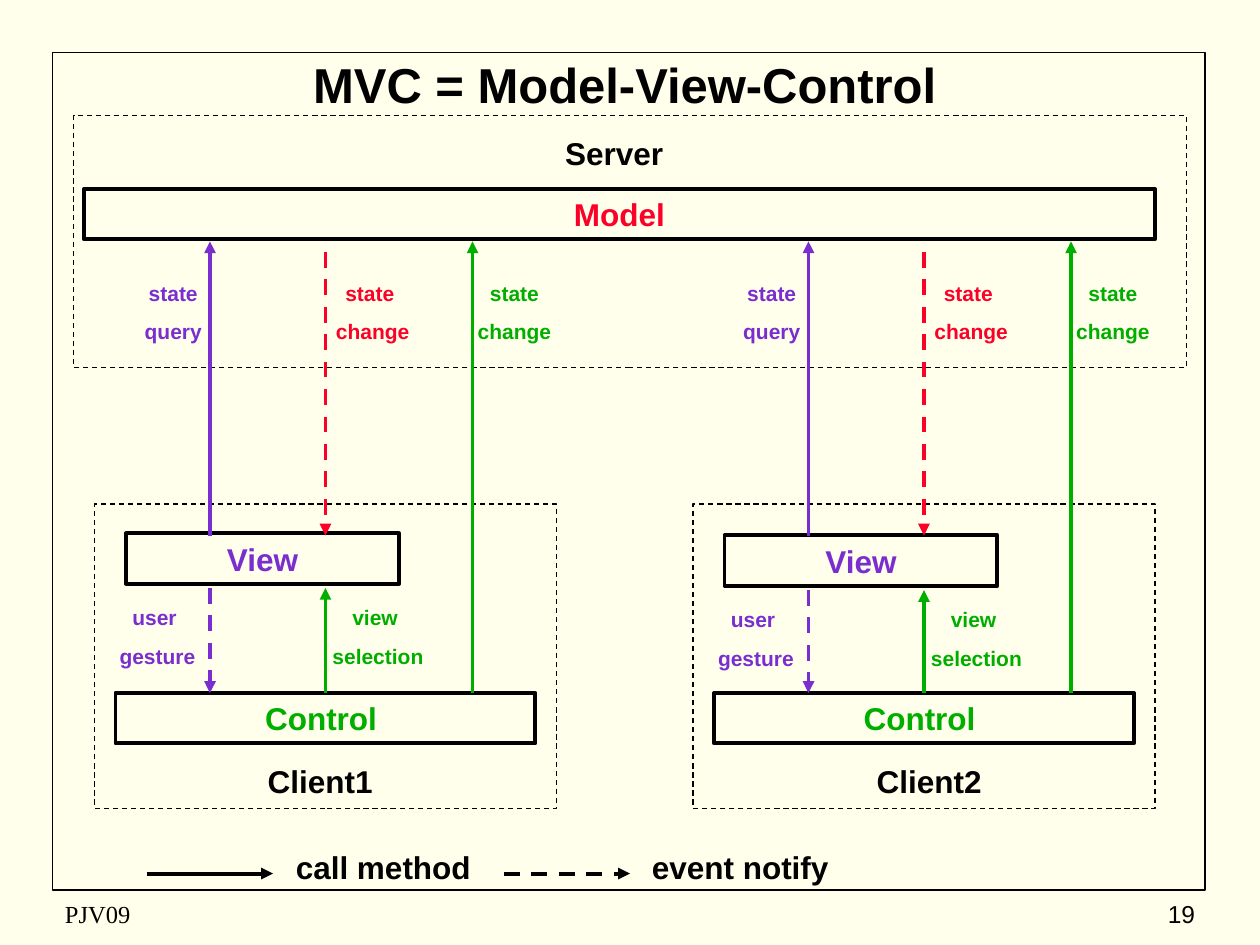
import pptx
import pptx.util
import pptx.dml.color
import pptx.enum.dml
import pptx.enum.shapes
import pptx.enum.text
import pptx.oxml.ns
from lxml import etree

RGB = pptx.dml.color.RGBColor
CREAM = RGB(0xFF, 0xFF, 0xEB)
BLACK = RGB(0, 0, 0)
RED = RGB(0xFC, 0x01, 0x28)
VIOLET = RGB(0x7B, 0x2E, 0xD0)
GREEN = RGB(0, 0xAE, 0)
ALIGN = pptx.enum.text.PP_ALIGN
ANCHOR = pptx.enum.text.MSO_ANCHOR
DASH = pptx.enum.dml.MSO_LINE.DASH

# Content: lengths are columns and rows of a grid, 12 to the inch
COLS, ROWS = 120, 90
ROW, PAIR = 4.8, 7.3            # heights of a one-line and a two-line text

# name, shift of columns, shift of the view rows, shift of the name
CLIENTS = [("Client1", 0, 0, 0), ("Client2", 57, 0.2, 1)]

# text, colour, column, row, width
UPPER = [
    ("state\nquery", VIOLET, 10, 26.1, 13),
    ("state \nchange", RED, 30, 26.1, 11),
    ("state\nchange", GREEN, 43, 26.1, 12),
]
LOWER = [
    ("user \ngesture", VIOLET, 9, 57, 12),
    ("view \nselection", GREEN, 29, 57, 14),
]
# colour, column, start row, end row, dashed
LINKS = [
    (VIOLET, 20, 51, 23, False),
    (RED, 31, 24, 51, True),
    (GREEN, 45, 66, 23, False),
]
# text, text column, arrow column, dashed
LEGEND = [("call method", 23, 14, False), ("event notify", 57, 48, True)]

deck = pptx.Presentation()


def unit(n):
    return pptx.util.Inches(n / 12)


deck.slide_width, deck.slide_height = unit(COLS), unit(ROWS)
slide = deck.slides.add_slide(deck.slide_layouts[6])
slide.background.fill.solid()
slide.background.fill.fore_color.rgb = CREAM


def write(shape, text, size, color=BLACK, bold=True, align=ALIGN.CENTER,
          anchor=ANCHOR.TOP, face="Arial"):
    frame = shape.text_frame
    frame.word_wrap = True
    frame.vertical_anchor = anchor
    frame.text = text
    for i, para in enumerate(frame.paragraphs):
        para.alignment = align
        if i:
            para.space_before = pptx.util.Pt(7.5)
        font = para.runs[0].font
        font.name, font.size, font.bold = face, pptx.util.Pt(size), bold
        font.color.rgb = color


def label(text, x, y, w, h, size, **style):
    area = slide.shapes.add_textbox(unit(x), unit(y), unit(w), unit(h))
    write(area, text, size, **style)


def stroke(line, color, width, dashed):
    line.color.rgb = color
    line.width = pptx.util.Pt(width)
    if dashed:
        line.dash_style = DASH


def box(x, y, w, h, width, dashed=False):
    shape = slide.shapes.add_shape(
        pptx.enum.shapes.MSO_SHAPE.RECTANGLE, unit(x), unit(y), unit(w), unit(h))
    shape.shadow.inherit = False
    shape.fill.background()
    stroke(shape.line, BLACK, width, dashed)
    return shape


def part(text, color, x, y, w):
    shape = box(x, y, w, ROW, 2.25)
    write(shape, text, 18, color)
    return shape


def arrow(color, x, y, x2, y2, dashed=False):
    link = slide.shapes.add_connector(
        pptx.enum.shapes.MSO_CONNECTOR.STRAIGHT, unit(x), unit(y), unit(x2), unit(y2))
    stroke(link.line, color, 2.25, dashed)
    qn = pptx.oxml.ns.qn
    etree.SubElement(link.line._get_or_add_ln(), qn("a:tailEnd"), type="triangle")
    etree.SubElement(link._element.spPr, qn("a:effectLst"))
    return link


# Page frame, title and footer
box(5, 5, 109.8, 79.8, 1)
label("MVC = Model-View-Control", 6, 4, 107, 8, 28, anchor=ANCHOR.MIDDLE)
label("PJV09", 5, 85, 38, 4, 14, bold=False, align=ALIGN.LEFT,
      anchor=ANCHOR.MIDDLE, face="Times New Roman")
label("19", 90, 85, 25, 4, 14, bold=False, align=ALIGN.RIGHT, anchor=ANCHOR.MIDDLE)

# Server
box(7, 11, 106, 24, 0.75, True)
label("Server", 51, 12.2, 15, ROW, 18)
part("Model", RED, 8, 18, 102)

# Clients
for name, dx, dy, nudge in CLIENTS:
    box(9 + dx, 48, 44, 29, 0.75, True)
    label(name, 23 + dx + nudge, 72, 15, ROW, 18)
    part("View", VIOLET, 12 + dx, 50.8 + dy, 26)
    control = part("Control ", GREEN, 11 + dx, 66, 40)
    for color, x, y, y2, dashed in LINKS:
        arrow(color, x + dx, y, x + dx, y2, dashed)
    arrow(VIOLET, 20 + dx, 56 + dy, 20 + dx, 66, True)
    pick = arrow(GREEN, 31 + dx, 66, 31 + dx, 56 + dy)
    pick.begin_connect(control, 0)
    for group, drop in ((UPPER, 0), (LOWER, dy)):
        for text, color, x, y, w in group:
            label(text, x + dx, y + drop, w, PAIR, 12, color=color)

# Legend
for text, x, start, dashed in LEGEND:
    arrow(BLACK, start, 83.2, start + 12, 83.2, dashed)
    label(text, x, 80.2, 27, ROW, 18)

deck.save("out.pptx")
